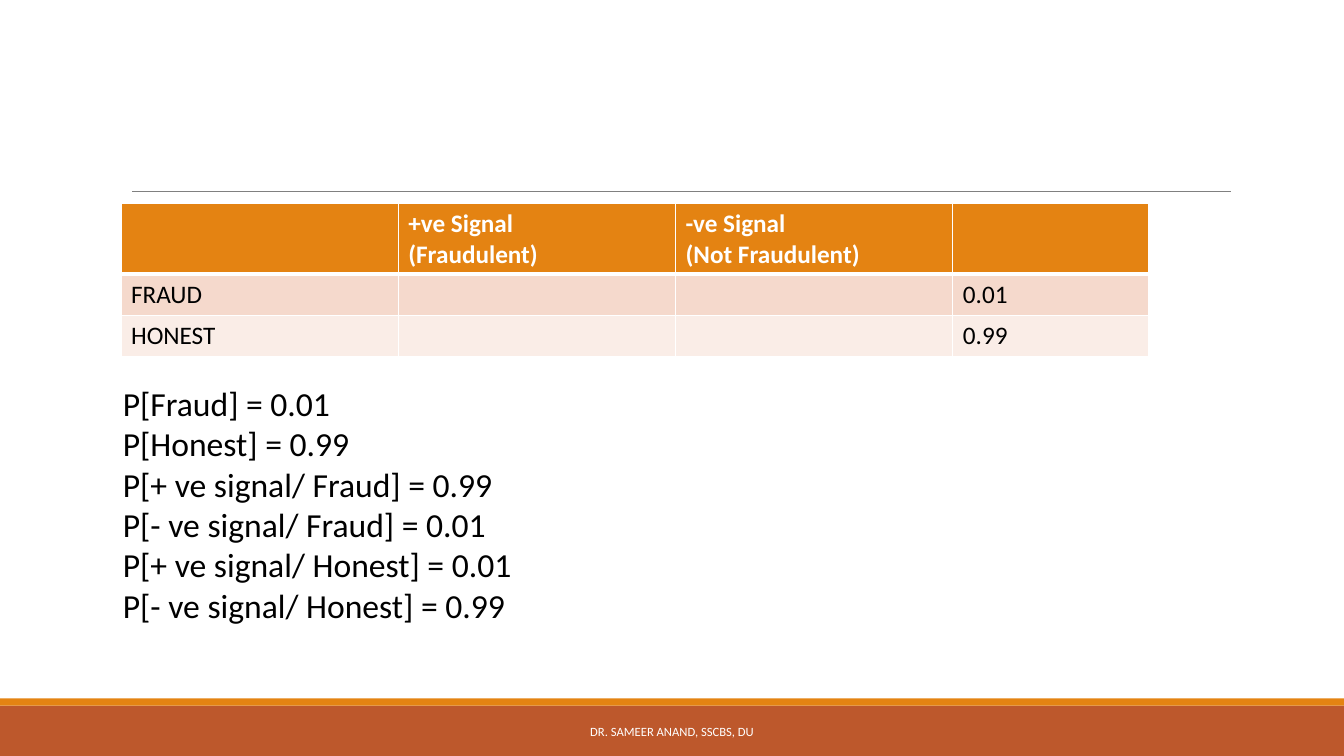
from lxml import etree
from pptx import Presentation
from pptx import util as u
from pptx.dml.color import RGBColor
from pptx.enum import shapes, text
from pptx.oxml import ns

FONT = "Calibri"
COLORS = {
    "white": "FFFFFF",
    "black": "000000",
    "orange": "E48312",
    "rust": "BD582C",
    "rule": "808080",
    "band_dark": "F5D9CC",
    "band_light": "FAEDE7",
}
COLUMN_WIDTHS = [2.75, 2.75, 2.75, 1.94]
ROW_HEIGHTS = [0.69, 0.41, 0.41]
ROW_FILLS = ["orange", "band_dark", "band_light"]
SIGNAL_TABLE = [
    ["", "+ve Signal\n(Fraudulent)", "-ve Signal\n(Not Fraudulent)", ""],
    ["FRAUD", "", "", "0.01"],
    ["HONEST", "", "", "0.99"],
]
PROBABILITIES = [
    "P[Fraud] = 0.01",
    "P[Honest] = 0.99",
    "P[+ ve signal/ Fraud] = 0.99",
    "P[- ve signal/ Fraud] = 0.01",
    "P[+ ve signal/ Honest] = 0.01",
    "P[- ve signal/ Honest] = 0.99",
]


def rgb(name):
    return RGBColor.from_string(COLORS[name])


def write_text(frame, content, size, color, bold=False, align=text.PP_ALIGN.LEFT):
    frame.text = content
    for paragraph in frame.paragraphs:
        paragraph.alignment = align
        paragraph.font.size = u.Pt(size)
        for run in paragraph.runs:
            run.font.name = FONT
            run.font.size = u.Pt(size)
            run.font.bold = bold
            run.font.color.rgb = rgb(color)


def add_bar(slide, top, height, color):
    bar = slide.shapes.add_shape(
        shapes.MSO_SHAPE.RECTANGLE, 0, u.Inches(top), u.Inches(13.33), u.Inches(height))
    bar.shadow.inherit = False
    bar.fill.solid()
    bar.fill.fore_color.rgb = rgb(color)
    bar.line.fill.background()


def add_rule(slide, left, right, top):
    rule = slide.shapes.add_connector(
        shapes.MSO_CONNECTOR.STRAIGHT,
        u.Inches(left), u.Inches(top), u.Inches(right), u.Inches(top))
    rule.line.color.rgb = rgb("rule")
    rule.line.width = u.Pt(0.5)
    etree.SubElement(rule._element.spPr, ns.qn("a:effectLst"))


def add_text(slide, box, content, size, color, align=text.PP_ALIGN.LEFT,
             anchor=text.MSO_ANCHOR.TOP):
    frame = slide.shapes.add_textbox(*map(u.Inches, box)).text_frame
    frame.word_wrap = True
    frame.vertical_anchor = anchor
    write_text(frame, content, size, color, align=align)


def set_borders(cell, bottom_width):
    properties = cell._tc.get_or_add_tcPr()
    widths = {"lnL": 1, "lnR": 1, "lnT": 1, "lnB": bottom_width}
    # Borders come before the fill in the cell properties
    for position, (side, width) in enumerate(widths.items()):
        border = etree.Element(ns.qn(f"a:{side}"), w=str(u.Pt(width)))
        fill = etree.SubElement(border, ns.qn("a:solidFill"))
        etree.SubElement(fill, ns.qn("a:srgbClr"), val=COLORS["white"])
        properties.insert(position, border)


def add_signal_table(slide, left, top):
    table = slide.shapes.add_table(
        len(ROW_HEIGHTS), len(COLUMN_WIDTHS), u.Inches(left), u.Inches(top),
        u.Inches(sum(COLUMN_WIDTHS)), u.Inches(sum(ROW_HEIGHTS))).table
    for column, width in zip(table.columns, COLUMN_WIDTHS):
        column.width = u.Inches(width)
    for index, (row, height) in enumerate(zip(table.rows, ROW_HEIGHTS)):
        row.height = u.Inches(height)
        header = index == 0
        for cell, content in zip(row.cells, SIGNAL_TABLE[index]):
            cell.fill.solid()
            cell.fill.fore_color.rgb = rgb(ROW_FILLS[index])
            set_borders(cell, 3 if header else 1)
            write_text(cell.text_frame, content, 18,
                       "white" if header else "black", bold=header)


def main():
    presentation = Presentation()
    presentation.slide_width = u.Inches(13.33)
    presentation.slide_height = u.Inches(7.5)
    slide = presentation.slides.add_slide(presentation.slide_layouts[6])

    # Footer bars and title rule
    add_bar(slide, 7, 0.5, "rust")
    add_bar(slide, 6.93, 0.07, "orange")
    add_rule(slide, 1.31, 12.21, 1.9)
    add_text(slide, (4.03, 7.06, 5.27, 0.4), "DR. SAMEER ANAND, SSCBS, DU", 9, "white",
             align=text.PP_ALIGN.CENTER, anchor=text.MSO_ANCHOR.MIDDLE)

    # Signal table and probabilities
    add_signal_table(slide, 1.2, 2.02)
    add_text(slide, (1.12, 3.75, 10.26, 3.74), "\n".join(PROBABILITIES), 24, "black")

    presentation.save("out.pptx")


if __name__ == "__main__":
    main()
